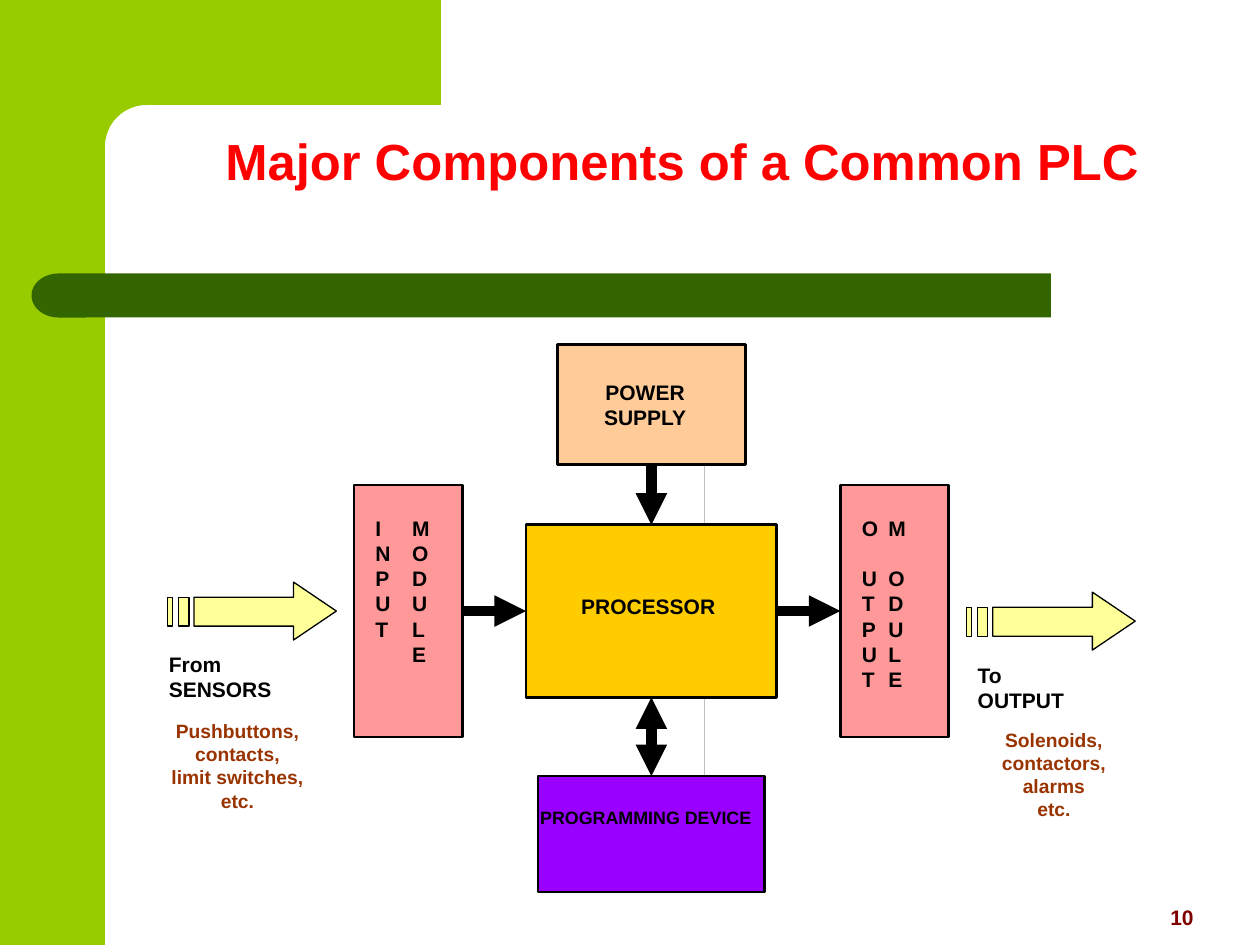
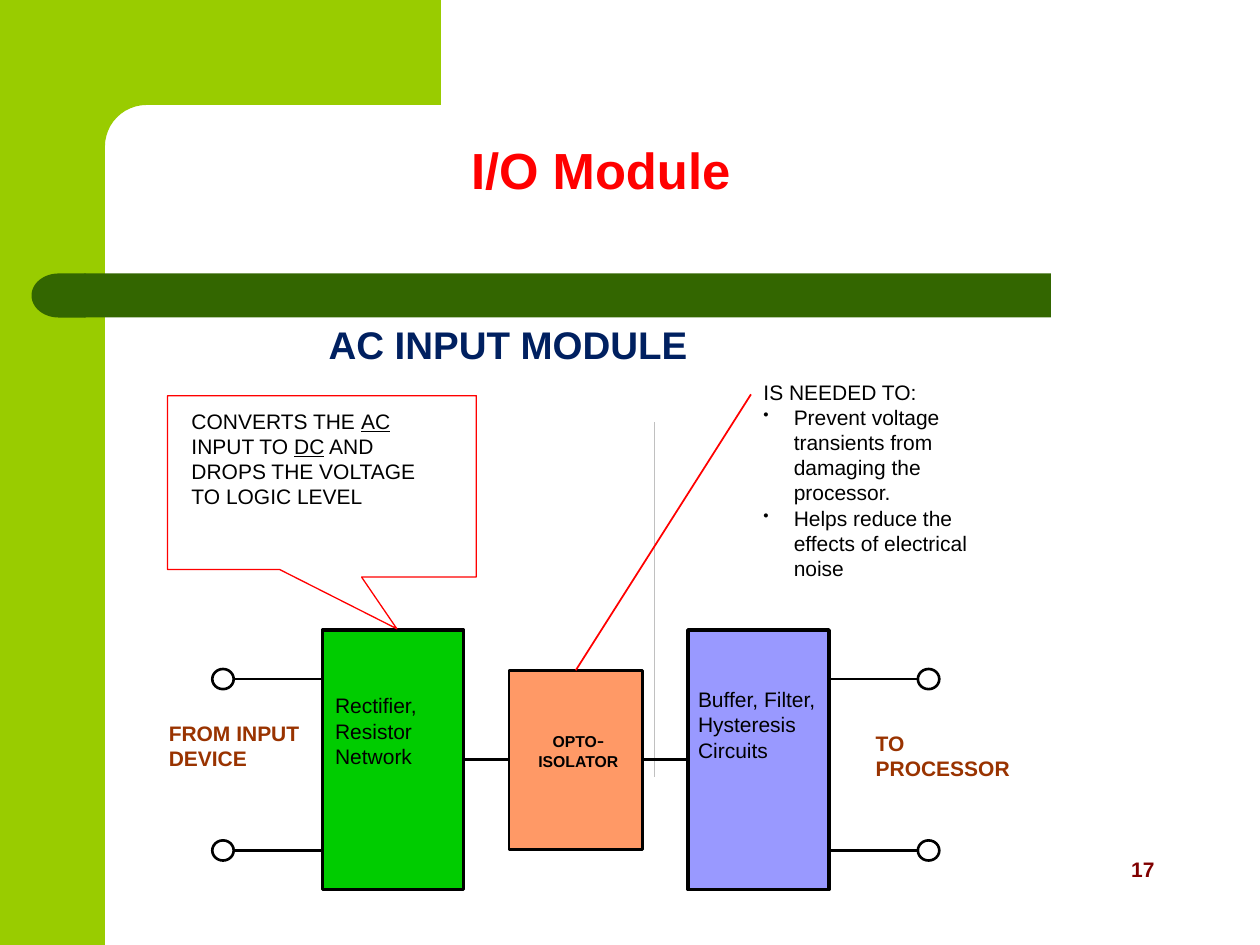
from math import cos, pi, sin

from lxml.etree import SubElement
from pptx import Presentation
from pptx.dml.color import RGBColor
from pptx.enum.shapes import MSO_CONNECTOR as Link, MSO_SHAPE as Shape
from pptx.enum.text import MSO_AUTO_SIZE as Fit, PP_ALIGN as Align
from pptx.oxml.ns import qn
from pptx.util import Inches, Pt

LIME = RGBColor(0x99, 0xCC, 0x00)
FOREST = RGBColor(0x33, 0x66, 0x00)
RED = RGBColor(0xFF, 0x00, 0x00)
MAROON = RGBColor(0x80, 0x00, 0x00)
NAVY = RGBColor(0x00, 0x20, 0x60)
RUST = RGBColor(0x99, 0x33, 0x00)
BLACK = RGBColor(0x00, 0x00, 0x00)
SILVER = RGBColor(0xC0, 0xC0, 0xC0)
GOLD = RGBColor(0xFF, 0xCC, 0x00)
PEACH = RGBColor(0xFF, 0xCC, 0x99)
PINK = RGBColor(0xFF, 0x99, 0x99)
VIOLET = RGBColor(0x99, 0x00, 0xFF)
CREAM = RGBColor(0xFF, 0xFF, 0x99)
GREEN = RGBColor(0x00, 0xCC, 0x00)
ORANGE = RGBColor(0xFF, 0x99, 0x66)
LILAC = RGBColor(0x99, 0x99, 0xFF)

WIDTH, HEIGHT = 10, 7.5
TIGHT, ROOMY = (0.01, 0.01), (0.1, 0.05)

PLC_AXIS, PLC_ROW, MODULE_STEP = 5.17, 4.85, 1.93
PLC_BLOCKS = {
    "processor": (PLC_AXIS, PLC_ROW, 1.99, 1.37, GOLD),
    "power": (PLC_AXIS, 3.21, 1.49, 0.95, PEACH),
    "input": (PLC_AXIS - MODULE_STEP, PLC_ROW, 0.86, 2, PINK),
    "output": (PLC_AXIS + MODULE_STEP, PLC_ROW, 0.86, 2, PINK),
    "programmer": (PLC_AXIS, 6.62, 1.8, 0.92, VIOLET),
}
PLC_ARROWS = [
    ("processor", 2, "programmer", 0, True),
    ("input", 3, "processor", 1, False),
    ("processor", 3, "output", 1, False),
    ("power", 2, "processor", 0, False),
]
CENTRED = {"bold": True, "align": Align.CENTER}
PLC_LABELS = [
    ((4.42, 4.7, 1.45, 0.23), ["PROCESSOR"], CENTRED),
    ((4.5, 3, 1.24, 0.5), ["POWER", "SUPPLY"], CENTRED),
    ((4.25, 6.39, 1.75, 0.38), ["PROGRAMMING DEVICE"], {**CENTRED, "size": 10.2}),
    ((2.97, 4.08, 0.58, 1.46), ["I\tM", "N\tO", "P\tD", "U\tU", "T\tL", "\tE"],
     {"bold": True, "tab": 0.29}),
    ((6.83, 4.08, 0.58, 1.46), ["O\tM", "U\tO", "T\tD", "P\tU", "U\tL", "T\tE"],
     {"bold": True, "tab": 0.21, "gap_after_first": 14.4}),
    ((1.33, 5.16, 1.09, 0.53), ["From SENSORS"], {"bold": True}),
    ((7.75, 5.25, 1.09, 0.53), ["To", "OUTPUT"], {"bold": True}),
    ((1.25, 5.7, 1.27, 0.78), ["Pushbuttons,", "contacts,", "limit switches,", "etc."],
     {**CENTRED, "size": 11, "color": RUST}),
    ((7.73, 5.77, 1.27, 0.78), ["Solenoids, contactors, alarms", "etc."],
     {**CENTRED, "size": 11, "color": RUST}),
]
SIGNAL_ARROWS = [(1.33, 4.62), (7.67, 4.7)]

IO_AXIS, IO_ROW, BLOCK_STEP = 4.57, 6.03, 1.45
IO_BLOCKS = {
    "opto": (IO_AXIS, IO_ROW, 1.06, 1.42, ORANGE, 1.5),
    "rectifier": (IO_AXIS - BLOCK_STEP, IO_ROW, 1.12, 2.06, GREEN, 2),
    "buffer": (IO_AXIS + BLOCK_STEP, IO_ROW, 1.12, 2.06, LILAC, 2),
}
TERMINAL_STEP, TERMINAL_ROWS, TERMINAL = 2.8, (5.39, 6.75), (0.17, 0.16)
UNDERLINE = {"underline": True}
IO_LABELS = [
    ((4.17, 5.76, 0.84, 0.59),
     [["OPTO", ("-", {"size": 12, "name": "Times New Roman"})], "ISOLATOR"],
     {**CENTRED, "size": 9}),
    ((2.65, 5.49, 0.92, 0.75), ["Rectifier,", "Resistor", "Network"], {}),
    ((5.53, 5.44, 0.99, 0.99), ["Buffer, Filter, Hysteresis Circuits"], {}),
    ((1.33, 5.71, 1.17, 0.72), ["FROM INPUT", "DEVICE"], {"bold": True, "color": RUST}),
    ((6.94, 5.79, 1.4, 0.72), ["TO", "PROCESSOR"], {"bold": True, "color": RUST}),
    ((1.51, 3.23, 2.05, 1.08),
     [["CONVERTS THE ", ("AC", UNDERLINE), " INPUT TO ", ("DC", UNDERLINE),
       " AND DROPS THE VOLTAGE TO LOGIC LEVEL"]], {}),
    ((6.05, 3, 1.66, 1.84),
     ["IS NEEDED TO:",
      "Prevent voltage transients from damaging the processor.",
      "Helps reduce the effects of electrical noise"], {"bullets_from": 1}),
]
CALLOUT = [(1.33, 3.14), (1.33, 4.52), (2.22, 4.52), (3.15, 4.99),
           (2.87, 4.58), (3.78, 4.58), (3.78, 3.14)]


def paint(shape, fill=None, line=None, weight=1.5):
    shape.shadow.inherit = False
    if fill is None:
        shape.fill.background()
    else:
        shape.fill.solid()
        shape.fill.fore_color.rgb = fill
    if line is None:
        shape.line.fill.background()
    else:
        shape.line.color.rgb = line
        shape.line.width = Pt(weight)
    return shape


def add_box(page, left, top, width, height, kind=Shape.RECTANGLE, **style):
    return paint(page.shapes.add_shape(kind, *map(Inches, (left, top, width, height))), **style)


def add_block(page, x, y, width, height, fill, weight=1.5):
    return add_box(page, x - width / 2, y - height / 2, width, height,
                   fill=fill, line=BLACK, weight=weight)


def add_outline(page, outlines, **style):
    builder = None
    for outline in outlines:
        start, *rest = [(Inches(x), Inches(y)) for x, y in outline]
        if builder is None:
            builder = page.shapes.build_freeform(*start)
        else:
            builder.move_to(*start)
        builder.add_line_segments(rest, close=True)
    return paint(builder.convert_to_shape(), **style)


def add_line(page, start=(0, 0), end=(0, 0), color=BLACK, weight=1.5,
             begin=None, finish=None, heads=()):
    line = page.shapes.add_connector(Link.STRAIGHT, *map(Inches, (*start, *end)))
    line.line.color.rgb = color
    line.line.width = Pt(weight)
    if begin:
        line.begin_connect(*begin)
    if finish:
        line.end_connect(*finish)
    for head in heads:
        SubElement(line.line._get_or_add_ln(), qn("a:" + head), type="triangle")
    SubElement(line._element.spPr, qn("a:effectLst"))
    return line


def add_text(page, place, paras, size=12, color=BLACK, bold=False, name="Arial",
             align=Align.LEFT, inset=TIGHT, wrap=True, tab=None,
             gap_after_first=0, bullets_from=None):
    frame = page.shapes.add_textbox(*map(Inches, place)).text_frame
    frame.margin_left = frame.margin_right = Inches(inset[0])
    frame.margin_top = frame.margin_bottom = Inches(inset[1])
    frame.word_wrap = wrap
    frame.auto_size = Fit.NONE if wrap else Fit.SHAPE_TO_FIT_TEXT
    for index, spans in enumerate(paras):
        para = frame.add_paragraph() if index else frame.paragraphs[0]
        para.alignment = align
        if index == 0 and gap_after_first:
            para.space_after = Pt(gap_after_first)
        props = para._p.get_or_add_pPr()
        if bullets_from is not None and index >= bullets_from:
            props.set("marL", str(Inches(0.24)))
            props.set("indent", str(-Inches(0.24)))
            SubElement(props, qn("a:buSzPct"), val="75000")
            SubElement(props, qn("a:buChar"), char="•")
        if tab:
            stops = SubElement(props, qn("a:tabLst"))
            SubElement(stops, qn("a:tab"), pos=str(Inches(tab)), algn="l")
        for item in [spans] if isinstance(spans, str) else spans:
            text, changes = (item, {}) if isinstance(item, str) else item
            span = para.add_run()
            span.text = text
            font = span.font
            font.size = Pt(changes.get("size", size))
            font.name = changes.get("name", name)
            font.bold = bold
            font.underline = changes.get("underline", False)
            font.color.rgb = color


def add_page(deck, title, title_place, number, number_place):
    page = deck.slides.add_slide(deck.slide_layouts[6])
    side, band, radius = WIDTH / 12, HEIGHT / 9, 0.33
    corner = [(side + radius * (1 - sin(step * pi / 24)), band + radius * (1 - cos(step * pi / 24)))
              for step in range(13)]
    add_box(page, 0, 0, side, HEIGHT, fill=LIME)
    add_outline(page, [[(0.5, 0), (3.5, 0), (3.5, band), *corner, (side, 1.28), (0.5, 1.28)]],
                fill=LIME)
    add_box(page, 0.67, 2.17, 7.67, 0.35, fill=FOREST)
    add_box(page, 0.25, 2.17, 0.43, 0.35, kind=Shape.FLOWCHART_DELAY, fill=FOREST).rotation = 180
    add_text(page, (*number_place, 1, 0.3), [number], color=MAROON, bold=True,
             inset=ROOMY, wrap=False)
    add_text(page, title_place, [title], size=29, color=RED, bold=True, inset=ROOMY, wrap=False)
    return page


def add_signal_arrow(page, left, top):
    shaft_top, shaft_bottom, tip = top + 0.12, top + 0.35, top + 0.23
    bars = [[(left + a, shaft_top), (left + a, shaft_bottom),
             (left + b, shaft_bottom), (left + b, shaft_top)]
            for a, b in ((0.09, 0.17), (0, 0.04))]
    arrow = [(left + 1, top), (left + 1, shaft_top), (left + 0.21, shaft_top),
             (left + 0.21, shaft_bottom), (left + 1, shaft_bottom),
             (left + 1, top + 0.46), (left + 1.34, tip)]
    add_outline(page, [arrow, *bars], fill=CREAM, line=BLACK, weight=0.75)


def build_components(deck):
    page = add_page(deck, "Major Components of a Common PLC", (1.69, 0.98, 7.46, 0.59),
                    "10", (9.19, 7.13))
    add_line(page, (5.59, 3.58), (5.59, 6.28), color=SILVER, weight=0.1)
    blocks = {key: add_block(page, *block) for key, block in PLC_BLOCKS.items()}
    for source, exit_side, target, entry_side, both_ways in PLC_ARROWS:
        add_line(page, weight=6, begin=(blocks[source], exit_side),
                 finish=(blocks[target], entry_side),
                 heads=("headEnd", "tailEnd") if both_ways else ("tailEnd",))
    for place, paras, style in PLC_LABELS:
        add_text(page, place, paras, **style)
    for left, top in SIGNAL_ARROWS:
        add_signal_arrow(page, left, top)


def build_io_module(deck):
    page = add_page(deck, "I/O Module", (3.64, 1.05, 2.26, 0.59), "17", (8.88, 6.75))
    add_text(page, (2.51, 2.5, 4.49, 0.47), ["AC INPUT MODULE"], size=22, color=NAVY,
             bold=True, inset=ROOMY)
    add_line(page, (5.19, 3.35), (5.19, 6.17), color=SILVER, weight=0.1)
    blocks = {key: add_block(page, *block) for key, block in IO_BLOCKS.items()}
    for source, target in (("rectifier", "opto"), ("opto", "buffer")):
        add_line(page, begin=(blocks[source], 3), finish=(blocks[target], 1))
    add_line(page, end=(5.96, 3.13), color=RED, weight=1, begin=(blocks["opto"], 0))
    width, height = TERMINAL
    for side in (-1, 1):
        centre = IO_AXIS + side * TERMINAL_STEP
        block_edge = IO_AXIS + side * (BLOCK_STEP + IO_BLOCKS["buffer"][2] / 2)
        for row in TERMINAL_ROWS:
            add_line(page, (block_edge, row), (centre - side * width / 2, row))
            add_box(page, centre - width / 2, row - height / 2, width, height,
                    kind=Shape.OVAL, line=BLACK)
    for place, paras, style in IO_LABELS:
        add_text(page, place, paras, **style)
    add_outline(page, [CALLOUT], line=RED, weight=0.75)


def main():
    deck = Presentation()
    deck.slide_width, deck.slide_height = Inches(WIDTH), Inches(HEIGHT)
    build_components(deck)
    build_io_module(deck)
    deck.save("out.pptx")


if __name__ == "__main__":
    main()
